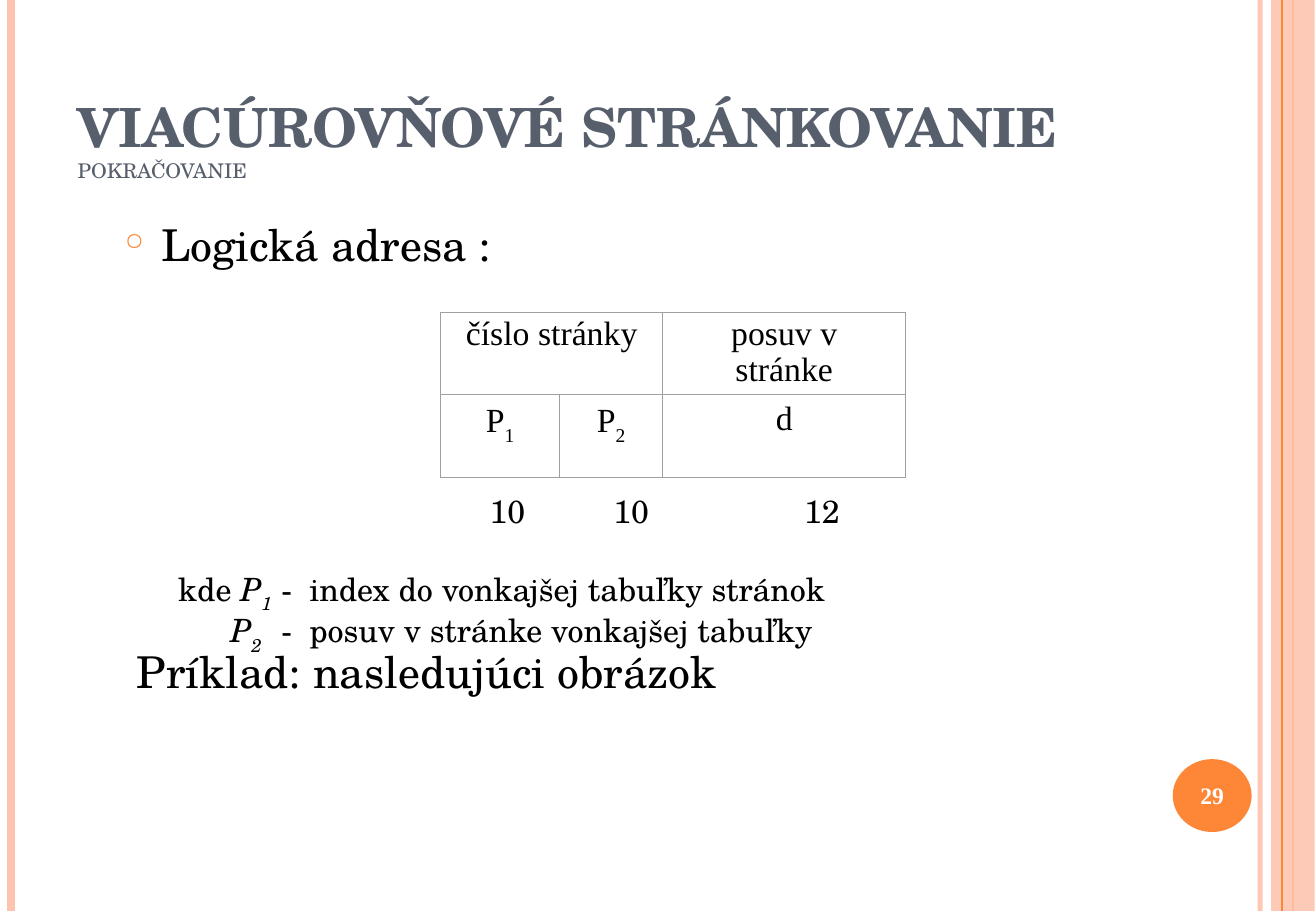
from lxml.etree import SubElement
from pptx import Presentation
from pptx.dml.color import RGBColor
from pptx.enum.shapes import MSO_CONNECTOR, MSO_SHAPE
from pptx.enum.text import MSO_ANCHOR, MSO_AUTO_SIZE, PP_ALIGN
from pptx.oxml.ns import qn
from pptx.util import Inches, Pt

COLORS = {"accent": "FE8637", "peach": "FEC3AE", "title": "575F6D",
          "text": "000000", "border": "A0A0A0", "white": "FFFFFF"}
SERIF, TIMES = "TeX Gyre Schola", "Times New Roman"
WIDTH, HEIGHT = 10.84, 7.5


def color(name):
    return RGBColor.from_string(COLORS[name])


def add_span(para, text, size=19, font=SERIF, fill="text", bold=False,
             italic=False, subscript=False):
    span = para.add_run()
    span.text = text
    span.font.size, span.font.name = Pt(size), font
    span.font.bold, span.font.italic = bold, italic
    span.font.color.rgb = color(fill)
    if subscript:
        span.font._element.set("baseline", "-30000")
    return span


def set_alpha(fill, percent):
    hue = fill.find(".//" + qn("a:srgbClr"))
    SubElement(hue, qn("a:alpha"), val=str(percent * 1000))


def add_text_box(page, left, top, width, height):
    frame = page.shapes.add_textbox(*map(Inches, (left, top, width, height))).text_frame
    frame.word_wrap = True
    para = frame.paragraphs[0]
    para.line_spacing = 0.7
    return frame, para


def add_tabs(para, stops):
    tab_list = SubElement(para._p.get_or_add_pPr(), qn("a:tabLst"))
    for stop in stops:
        SubElement(tab_list, qn("a:tab"), pos=str(Inches(stop)), algn="l")


def add_stripe(page, x, name, weight, opacity=100):
    stripe = page.shapes.add_connector(MSO_CONNECTOR.STRAIGHT, Inches(x), 0,
                                       Inches(x), Inches(HEIGHT))
    stripe.line.color.rgb = color(name)
    stripe.line.width = Pt(weight)
    if opacity < 100:
        set_alpha(stripe._element.spPr, opacity)
    SubElement(stripe._element.spPr, qn("a:effectLst"))


def add_edges(page):
    """Vertical lines and the translucent band at the slide edges."""
    add_stripe(page, 10.38, "peach", 3, 93)
    add_stripe(page, 0.09, "peach", 4.5)
    add_stripe(page, 10.65, "accent", 1.5)
    band = page.shapes.add_shape(MSO_SHAPE.RECTANGLE, Inches(10.47), 0,
                                 Inches(0.36), Inches(HEIGHT))
    band.shadow.inherit = False
    band.fill.solid()
    band.fill.fore_color.rgb = color("peach")
    set_alpha(band._element.spPr, 87)
    band.line.fill.background()
    add_stripe(page, 10.56, "accent", 0.75)


def add_page_number(page, left, top, width, height):
    badge = page.shapes.add_shape(MSO_SHAPE.OVAL, *map(Inches, (left, top, width, height)))
    badge.shadow.inherit = False
    badge.fill.solid()
    badge.fill.fore_color.rgb = color("accent")
    badge.line.fill.background()
    frame = badge.text_frame
    frame.margin_left = frame.margin_right = 0
    frame.vertical_anchor = MSO_ANCHOR.MIDDLE
    frame.paragraphs[0].alignment = PP_ALIGN.CENTER
    add_span(frame.paragraphs[0], "29", size=14, font=TIMES, fill="white", bold=True)


def add_title(page, left, top, width, height):
    title = page.shapes.title
    title.left, title.top, title.width, title.height = map(
        Inches, (left, top, width, height))
    frame = title.text_frame
    frame.word_wrap, frame.auto_size = True, MSO_AUTO_SIZE.NONE
    frame.vertical_anchor = MSO_ANCHOR.BOTTOM
    para = frame.paragraphs[0]
    para.alignment, para.line_spacing = PP_ALIGN.LEFT, 1.0
    add_span(para, "VIACÚROVŇOVÉ STRÁNKOVANIE", size=32, fill="title", bold=True)
    para.add_line_break()
    add_span(para, "POKRAČOVANIE", size=12, fill="title")


def add_bullet_line(page, left, top, width):
    para = add_text_box(page, left, top, width, 0.5)[1]
    props = para._p.get_or_add_pPr()
    props.set("marL", str(Inches(0.3)))
    props.set("indent", str(-Inches(0.3)))
    bullet_color = SubElement(props, qn("a:buClr"))
    SubElement(bullet_color, qn("a:srgbClr"), val=COLORS["accent"])
    SubElement(props, qn("a:buSzPct"), val="55000")
    SubElement(props, qn("a:buChar"), char="○")
    add_span(para, "Logická adresa :", size=26)


def format_cell(cell, margin_top):
    cell.fill.background()
    cell.margin_left = cell.margin_right = Inches(0.14)
    cell.margin_top, cell.margin_bottom = Inches(margin_top), 0
    cell.vertical_anchor = MSO_ANCHOR.TOP
    props = cell._tc.get_or_add_tcPr()
    for index, side in enumerate(("lnL", "lnR", "lnT", "lnB")):
        border = props.makeelement(qn("a:" + side), {"w": str(Pt(0.5))})
        fill = SubElement(border, qn("a:solidFill"))
        SubElement(fill, qn("a:srgbClr"), val=COLORS["border"])
        props.insert(index, border)


def add_address_table(page, left, top):
    """Address fields with their bit counts underneath."""
    widths, row_height = (0.98, 0.85, 2), 0.68
    rows = ((0.04, (("číslo stránky", ""), None, ("posuv v stránke", ""))),
            (0.06, (("P", "1"), ("P", "2"), ("d", ""))))
    table = page.shapes.add_table(2, 3, *map(
        Inches, (left, top, sum(widths), 2 * row_height))).table
    table.first_row = table.horz_banding = False
    for column, width in zip(table.columns, widths):
        column.width = Inches(width)
    for row_index, (margin_top, labels) in enumerate(rows):
        table.rows[row_index].height = Inches(row_height)
        for column_index, label in enumerate(labels):
            cell = table.cell(row_index, column_index)
            format_cell(cell, margin_top)
            para = cell.text_frame.paragraphs[0]
            para.alignment, para.line_spacing = PP_ALIGN.CENTER, 0.95
            if label:
                add_span(para, label[0], size=20, font=TIMES)
                if label[1]:
                    add_span(para, label[1], size=20, font=TIMES, subscript=True)
    table.cell(0, 0).merge(table.cell(0, 1))

    for center, bits in ((0.55, "10"), (1.57, "10"), (3.14, "12")):
        para = add_text_box(page, left + center - 0.4, top + 1.51, 0.8, 0.4)[1]
        para.alignment = PP_ALIGN.CENTER
        add_span(para, bits)


def add_definitions(page, left, top, width):
    frame, para = add_text_box(page, left, top, width, 0.75)
    for lead, index, meaning in (("kde ", "1", "index do vonkajšej tabuľky stránok"),
                                 ("\t", "2", "posuv v stránke vonkajšej tabuľky")):
        if index == "2":
            para = frame.add_paragraph()
            para.line_spacing, para.space_before = 0.7, Pt(6)
        add_tabs(para, (0.43, 0.85, 1.08))
        add_span(para, lead)
        add_span(para, "P", italic=True)
        add_span(para, index, italic=True, subscript=True)
        add_span(para, "\t-\t" + meaning)


def add_example(page, left, top, width):
    add_span(add_text_box(page, left, top, width, 0.5)[1],
             "Príklad: nasledujúci obrázok", size=26)


def main():
    deck = Presentation()
    deck.slide_width, deck.slide_height = Inches(WIDTH), Inches(HEIGHT)
    page = deck.slides.add_slide(deck.slide_layouts[5])
    add_edges(page)
    add_page_number(page, 9.66, 6.25, 0.65, 0.6)
    add_title(page, 0.54, 0.3, 8.85, 1.25)
    add_bullet_line(page, 0.93, 1.86, 9.21)
    add_address_table(page, 3.63, 2.57)
    add_definitions(page, 1.37, 4.69, 8)
    add_example(page, 1.03, 5.38, 8)
    deck.save("out.pptx")


if __name__ == "__main__":
    main()
